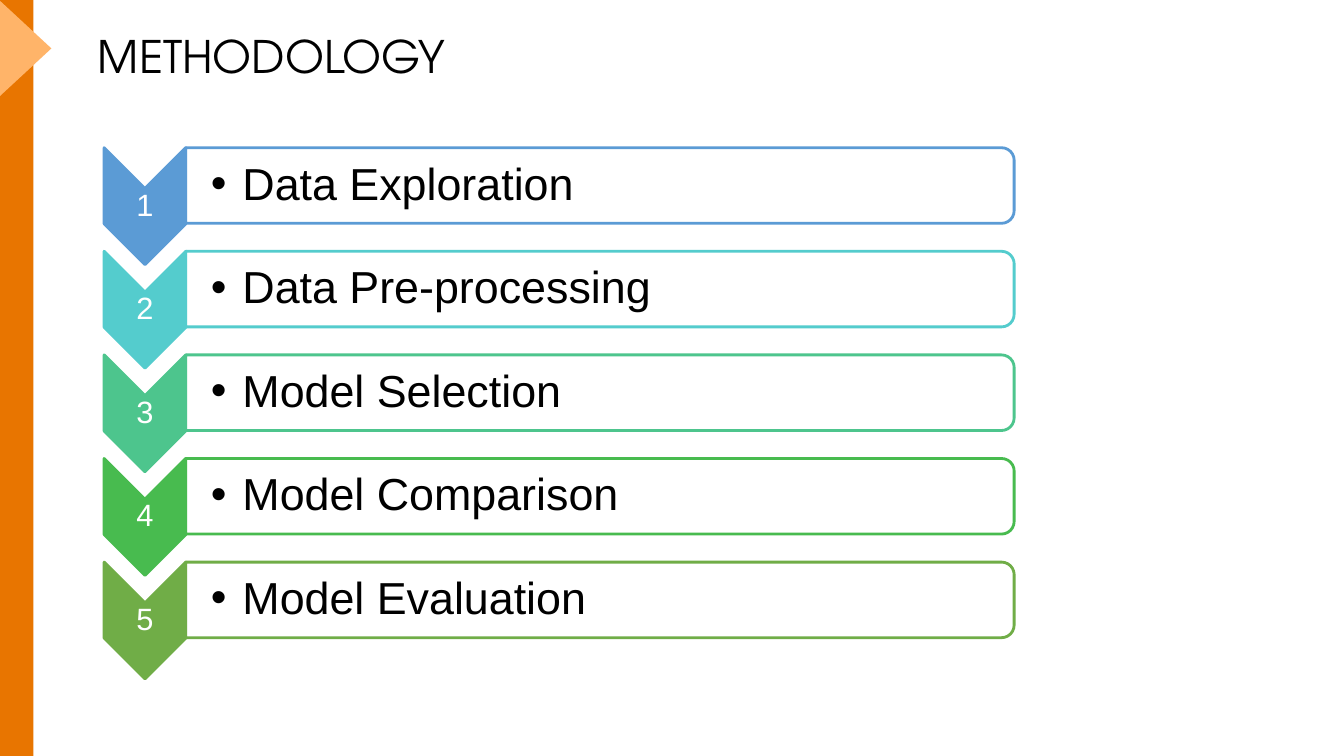
from lxml.etree import SubElement as Sub
from pptx import Presentation
from pptx.dml.color import RGBColor as Rgb
from pptx.enum.shapes import MSO_SHAPE as Kind
from pptx.enum.text import MSO_ANCHOR as Anchor, PP_ALIGN as Align
from pptx.oxml.ns import qn
from pptx.util import Pt

HUES = {
    "band": "E87500", "tip": "FFB469", "white": "FFFFFF", "black": "000000",
    "blue": "5B9BD5", "aqua": "54CCCD", "mint": "4DC58D",
    "green": "48BB4F", "moss": "70AD47",
}
STEPS = [
    ("Data Exploration", "blue"),
    ("Data Pre-processing", "aqua"),
    ("Model Selection", "mint"),
    ("Model Comparison", "green"),
    ("Model Evaluation", "moss"),
]


def hue(name):
    return Rgb.from_string(HUES[name])


def shape(slide, kind, box, fill, line=None, turned=False):
    x, y, w, h = box
    if turned:
        x, y, w, h = x + (w - h) / 2, y + (h - w) / 2, h, w
    item = slide.shapes.add_shape(kind, Pt(x), Pt(y), Pt(w), Pt(h))
    item.rotation = 90 if turned else 0
    item.shadow.inherit = False
    item.fill.solid()
    item.fill.fore_color.rgb = hue(fill)
    if line:
        item.line.color.rgb = hue(line)
        item.line.width = Pt(2)
    else:
        item.line.fill.background()
    return item


def style(para, font, size, color):
    for run in para.runs:
        run.font.name = font
        run.font.size = Pt(size)
        run.font.color.rgb = hue(color)


def label(slide, box, text, size, color, inset=1.5):
    frame = slide.shapes.add_textbox(*map(Pt, box)).text_frame
    frame.word_wrap = True
    frame.vertical_anchor = Anchor.MIDDLE
    frame.margin_left = Pt(inset)
    frame.margin_right = frame.margin_top = frame.margin_bottom = Pt(1.5)
    para = frame.paragraphs[0]
    para.text = text
    para.line_spacing = 0.9
    style(para, "Arial", size, color)
    return para


def bullet(para, indent):
    para.level = 1
    props = para._p.get_or_add_pPr()
    props.set("marL", str(Pt(indent)))
    props.set("indent", str(Pt(-indent)))
    Sub(props, qn("a:buFont")).set("typeface", "Arial")
    Sub(props, qn("a:buChar")).set("char", "•")


def edge(slide, box):
    x, y, w, h = box
    shape(slide, Kind.RECTANGLE, box, "band")
    tip = (x - 0.8, y + 16.6 - 18 - 1, 38.9, 72)
    tip = (x - 0.8, y - 1.4, 38.9, 72)
    shape(slide, Kind.ISOSCELES_TRIANGLE, tip, "tip", turned=True)


def head(slide, box, text):
    title = slide.shapes.title
    title.left, title.top, title.width, title.height = map(Pt, box)
    frame = title.text_frame
    frame.text = text
    frame.word_wrap = True
    frame.vertical_anchor = Anchor.TOP
    para = frame.paragraphs[0]
    para.alignment = Align.CENTER
    style(para, "TeX Gyre Adventor", 32, "black")


def step(slide, box, mark, text, color):
    x, y, w, h = box
    side, tall = 58.3, 83.5
    arrow = (x, y, side, tall)
    shape(slide, Kind.CHEVRON, arrow, color, color, True)
    spot = (x, y + (tall - 25.2) / 2, side, 25.2)
    label(slide, spot, mark, 22, "white").alignment = Align.CENTER
    bar = (x + side, y, w - side, h)
    plate = shape(slide, Kind.ROUND_2_SAME_RECTANGLE, bar, "white", color, True)
    tint = plate.fill._xPr.find(qn("a:solidFill"))[0]
    Sub(tint, qn("a:alpha")).set("val", "90000")
    inner = (x + side, y + 2.5, w - side - 3, h - 5)
    bullet(label(slide, inner, text, 32, "black", 18), 22.5)


def steps(slide, box, pitch):
    x, y, w, h = box
    for i, (text, color) in enumerate(STEPS):
        step(slide, (x, y + i * pitch, w, h), str(i + 1), text, color)


def main():
    deck = Presentation()
    deck.slide_width, deck.slide_height = Pt(960), Pt(540)
    slide = deck.slides.add_slide(deck.slide_layouts[5])
    edge(slide, (-1.4, 0, 25.2, 540))
    head(slide, (-234, 16.6, 856, 59.8), "METHODOLOGY")
    steps(slide, (74.4, 105.5, 650, 54), 74)
    deck.save("out.pptx")


if __name__ == "__main__":
    main()
